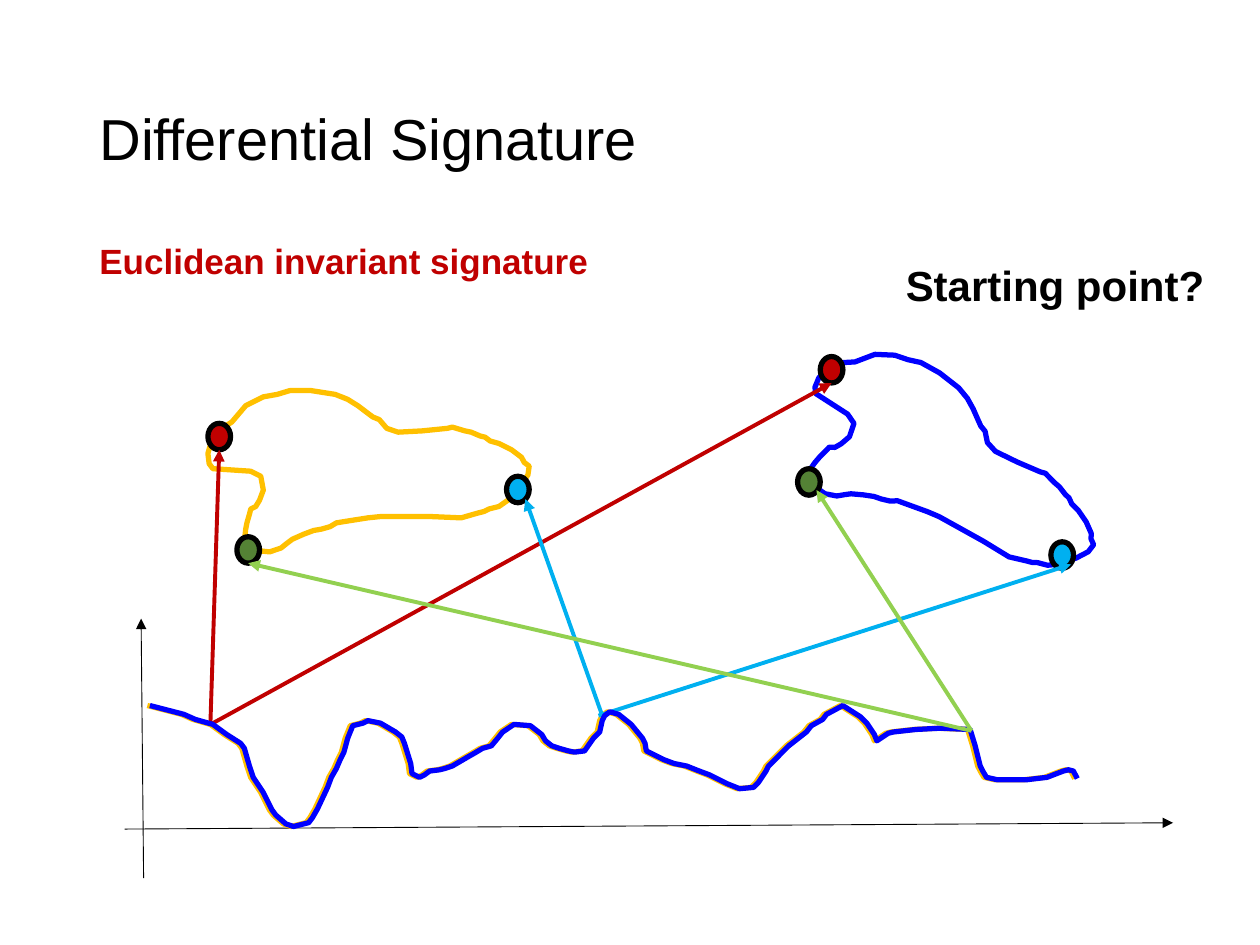
from lxml import etree
from pptx import Presentation
from pptx.dml.color import RGBColor
from pptx.enum.shapes import MSO_CONNECTOR, MSO_SHAPE
from pptx.enum.text import MSO_ANCHOR
from pptx.oxml.ns import qn
from pptx.util import Inches, Pt

STRAIGHT = MSO_CONNECTOR.STRAIGHT
OVAL = MSO_SHAPE.OVAL
MIDDLE = MSO_ANCHOR.MIDDLE
TOP = MSO_ANCHOR.TOP

BLACK = RGBColor(0x00, 0x00, 0x00)
WHITE = RGBColor(0xFF, 0xFF, 0xFF)
RED = RGBColor(0xC0, 0x00, 0x00)
ORANGE = RGBColor(0xFF, 0xC0, 0x00)
BLUE = RGBColor(0x00, 0x00, 0xFF)
CYAN = RGBColor(0x00, 0xB0, 0xF0)
GREEN = RGBColor(0x54, 0x82, 0x35)
LIME = RGBColor(0x92, 0xD0, 0x50)

# Hundredths of an inch from the top left of the box
CONTOUR = [
    (2, 43), (11, 30), (19, 25), (30, 12), (34, 10), (38, 8), (44, 5), (55, 3),
    (65, 0), (82, 0), (101, 3), (106, 5), (111, 7), (119, 12), (127, 18),
    (131, 21), (136, 23), (142, 30), (151, 33), (170, 32), (190, 30), (194, 29),
    (204, 32), (209, 33), (216, 36), (220, 37), (224, 40), (231, 42), (241, 47),
    (249, 53), (251, 57), (255, 60), (254, 67), (248, 76), (244, 80), (241, 85),
    (231, 92), (223, 94), (219, 96), (215, 97), (201, 101), (177, 100),
    (137, 100), (127, 101), (108, 104), (102, 105), (97, 108), (90, 110),
    (84, 111), (76, 114), (67, 118), (63, 121), (58, 125), (49, 128), (39, 127),
    (30, 123), (29, 119), (30, 110), (31, 105), (33, 98), (34, 94), (38, 92),
    (41, 87), (44, 79), (42, 68), (34, 64), (4, 62), (1, 58), (0, 50),
]
SIGNATURE = [
    (0, 0), (27, 7), (36, 11), (50, 15), (61, 23), (72, 30), (75, 34), (79, 48),
    (82, 57), (90, 69), (97, 83), (100, 87), (108, 94), (114, 96), (126, 93),
    (129, 89), (133, 82), (141, 65), (144, 57), (148, 50), (151, 43), (154, 37),
    (157, 26), (159, 21), (161, 16), (169, 14), (173, 12), (183, 14), (195, 21),
    (200, 25), (202, 30), (207, 46), (208, 54), (214, 57), (218, 55), (222, 52),
    (230, 51), (234, 50), (240, 48), (252, 41), (259, 37), (264, 34), (271, 32),
    (276, 26), (280, 21), (289, 15), (302, 16), (311, 23), (314, 28), (319, 32),
    (325, 34), (332, 36), (337, 37), (345, 36), (352, 26), (357, 21), (359, 12),
    (361, 8), (365, 5), (372, 7), (382, 15), (391, 26), (393, 30), (394, 36),
    (408, 43), (416, 46), (426, 48), (436, 52), (444, 55), (458, 62), (468, 66),
    (479, 65), (483, 61), (489, 52), (491, 48), (502, 37), (507, 32), (521, 21),
    (525, 16), (534, 11), (537, 7), (550, 0), (564, 9), (569, 14), (575, 23),
    (577, 28), (586, 22), (590, 21), (608, 19), (627, 18), (651, 19), (655, 32),
    (659, 48), (661, 52), (664, 57), (673, 59), (695, 59), (712, 57), (725, 52),
    (729, 51), (733, 52), (736, 58),
]


def add_text(slide, box, text, size, color, bold=False, anchor=TOP, wrap=False):
    tb = slide.shapes.add_textbox(*[Inches(v) for v in box])
    tf = tb.text_frame
    tf.word_wrap = wrap
    tf.vertical_anchor = anchor
    p = tf.paragraphs[0]
    r = p.add_run()
    r.text = text
    r.font.name = "Arial"
    r.font.size = Pt(size)
    r.font.bold = bold
    r.font.color.rgb = color
    return p


def add_arrow(slide, start, end, color, width):
    ends = [Inches(v) for v in (*start, *end)]
    cn = slide.shapes.add_connector(STRAIGHT, *ends)
    cn.line.color.rgb = color
    cn.line.width = Pt(width)
    etree.SubElement(cn.line._get_or_add_ln(), qn("a:tailEnd"), type="triangle")
    etree.SubElement(cn._element.spPr, qn("a:effectLst"))


def add_curve(slide, box, points, color, closed=False, filled=True, rotation=0):
    left, top = box[:2]
    spots = [(Inches(left + x / 100), Inches(top + y / 100)) for x, y in points]
    builder = slide.shapes.build_freeform(*spots[0])
    builder.add_line_segments(spots[1:], close=closed)
    sp = builder.convert_to_shape()
    sp.shadow.inherit = False
    sp.rotation = rotation
    if filled:
        sp.fill.solid()
        sp.fill.fore_color.rgb = WHITE
    else:
        sp.fill.background()
    sp.line.color.rgb = color
    sp.line.width = Pt(3)


def add_markers(slide, box, offsets):
    left, top = box[:2]
    for (dx, dy), color in zip(offsets, (RED, CYAN, GREEN)):
        sp = slide.shapes.add_shape(OVAL, Inches(left + dx), Inches(top + dy),
                                    Inches(0.18), Inches(0.21))
        sp.shadow.inherit = False
        sp.fill.solid()
        sp.fill.fore_color.rgb = color
        sp.line.color.rgb = BLACK
        sp.line.width = Pt(3)


def add_axes(slide, box):
    left, top, width, height = box
    right, bottom = left + width, top + height
    add_arrow(slide, (left, bottom - 0.39), (right, bottom - 0.44), BLACK, 0.5)
    add_arrow(slide, (left + 0.15, bottom), (left + 0.13, top), BLACK, 0.5)


def main():
    prs = Presentation()
    prs.slide_width, prs.slide_height = Inches(10), Inches(7.5)
    slide = prs.slides.add_slide(prs.slide_layouts[6])

    title = add_text(slide, (0.69, 0.4, 8.62, 1.45), "Differential Signature",
                     33, BLACK, anchor=MIDDLE, wrap=True)
    title.line_spacing = 0.9
    add_text(slide, (0.69, 1.85, 4.11, 0.44), "Euclidean invariant signature",
             20, RED, bold=True)

    first, second = (1.65, 3.1, 2.55, 1.28), (6.27, 3.1, 2.55, 1.28)
    add_curve(slide, first, CONTOUR, ORANGE, closed=True)
    add_curve(slide, second, CONTOUR, BLUE, closed=True, rotation=29)
    add_axes(slide, (0.99, 4.91, 8.32, 2.06))
    add_curve(slide, (1.17, 5.6, 7.36, 0.96), SIGNATURE, ORANGE)
    add_markers(slide, first, [(0, 0.26), (2.37, 0.68), (0.23, 1.16)])
    add_markers(slide, second, [(0.24, -0.27), (2.07, 1.2), (0.06, 0.62)])

    for start, end, color in [
        ((1.67, 5.75), (1.74, 3.57), RED),
        ((1.67, 5.75), (6.6, 3.04), RED),
        ((4.78, 5.68), (4.17, 3.96), CYAN),
        ((4.75, 5.68), (8.5, 4.48), CYAN),
    ]:
        add_arrow(slide, start, end, color, 2.25)
    add_curve(slide, (1.19, 5.6, 7.36, 0.96), SIGNATURE, BLUE, filled=False)
    for end in [(1.97, 4.47), (6.48, 3.89)]:
        add_arrow(slide, (7.71, 5.8), end, LIME, 2.25)

    add_text(slide, (7.09, 2.01, 2.59, 0.5), "Starting point?", 24, BLACK, bold=True)
    prs.save("out.pptx")


if __name__ == "__main__":
    main()
